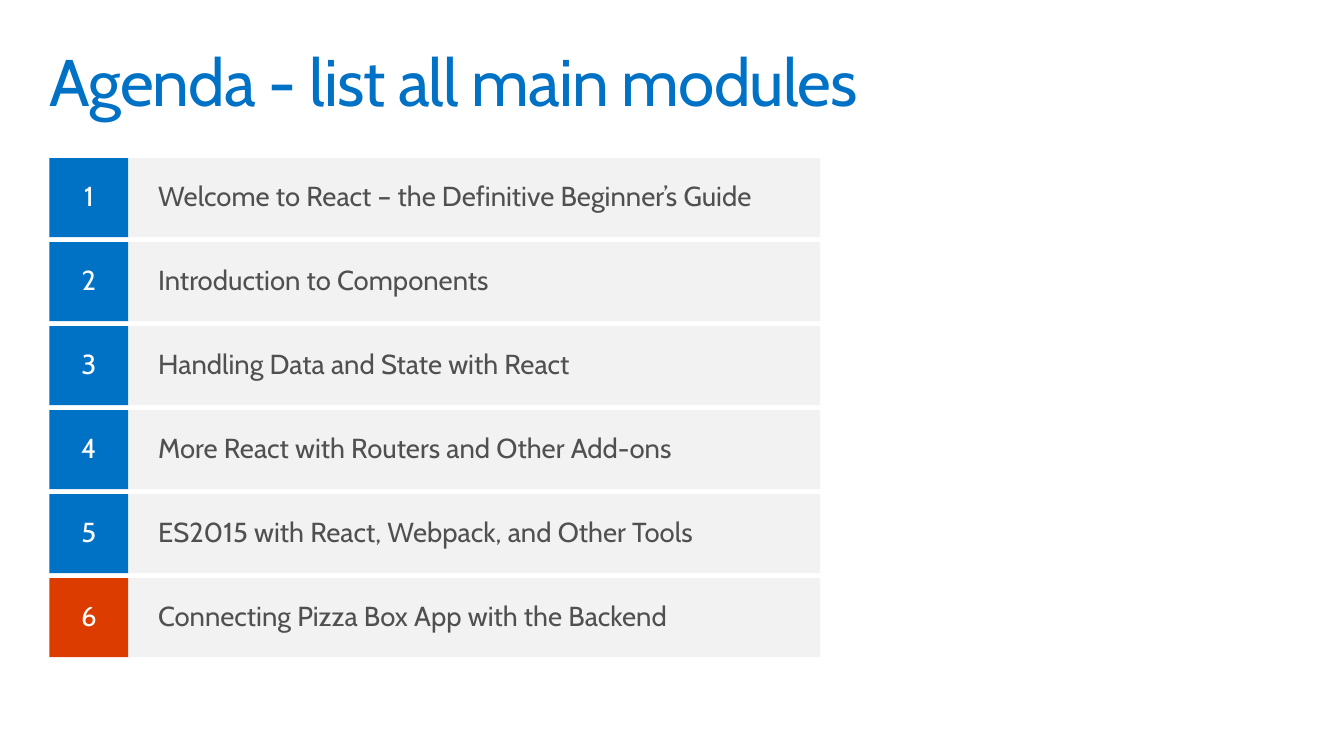
import dataclasses

import pptx
import pptx.dml.color
import pptx.enum.shapes
import pptx.enum.text
import pptx.util

EMU_PER_PX = 9144  # 100 px to the inch
ALIGN = pptx.enum.text.PP_ALIGN
ANCHOR = pptx.enum.text.MSO_ANCHOR

MODULES = [
    "Welcome to React – the Definitive Beginner’s Guide",
    "Introduction to Components",
    "Handling Data and State with React",
    "More React with Routers and Other Add-ons",
    "ES2015 with React, Webpack, and Other Tools",
    "Connecting Pizza Box App with the Backend",
]
CURRENT_MODULE = 6


@dataclasses.dataclass(frozen=True)
class Theme:
    font: str = "Cabin"
    blue: str = "0072C6"
    orange: str = "DC3C00"
    pale: str = "F2F2F2"
    grey: str = "505050"
    white: str = "FFFFFF"
    title_size: int = 48
    body_size: int = 20
    line_spacing: float = 0.9
    title_tracking: int = -70  # hundredths of a point


def px(length):
    return pptx.util.Emu(length * EMU_PER_PX)


def rgb(color):
    return pptx.dml.color.RGBColor.from_string(color)


class AgendaPage:
    def __init__(self, deck, theme):
        self.theme = theme
        self.page = deck.slides.add_slide(deck.slide_layouts[6])

    def set_text(self, shape, text, size, color, inset, align, anchor):
        """Fill a shape with one styled line; inset is (sides, top and bottom)."""
        frame = shape.text_frame
        frame.word_wrap = True
        frame.vertical_anchor = anchor
        frame.margin_left = frame.margin_right = px(inset[0])
        frame.margin_top = frame.margin_bottom = px(inset[1])
        frame.text = text
        para = frame.paragraphs[0]
        para.alignment = align
        para.line_spacing = self.theme.line_spacing
        span = para.runs[0]
        span.font.name = self.theme.font
        span.font.size = pptx.util.Pt(size)
        span.font.color.rgb = rgb(color)
        return span

    def title(self, text, left, top, width, height):
        box = self.page.shapes.add_textbox(px(left), px(top), px(width), px(height))
        span = self.set_text(box, text, self.theme.title_size, self.theme.blue,
                             (10, 10), ALIGN.LEFT, ANCHOR.TOP)
        span._r.get_or_add_rPr().set("spc", str(self.theme.title_tracking))

    def block(self, text, left, top, width, height, fill, color, inset, align):
        box = self.page.shapes.add_shape(
            pptx.enum.shapes.MSO_SHAPE.RECTANGLE,
            px(left), px(top), px(width), px(height))
        box.shadow.inherit = False
        box.fill.solid()
        box.fill.fore_color.rgb = rgb(fill)
        box.line.fill.background()
        self.set_text(box, text, self.theme.body_size, color, inset, align, ANCHOR.MIDDLE)

    def agenda_row(self, number, text, left, top, height, label_width):
        theme = self.theme
        fill = theme.orange if number == CURRENT_MODULE else theme.blue
        self.block(str(number), left, top, height, height,
                   fill, theme.white, (20, 16), ALIGN.CENTER)
        self.block(text, left + height, top, label_width, height,
                   theme.pale, theme.grey, (30, 10), ALIGN.LEFT)


def main():
    deck = pptx.Presentation()
    deck.slide_width, deck.slide_height = px(1360), px(765)
    agenda = AgendaPage(deck, Theme())
    agenda.title("Agenda - list all main modules", 40, 40, 1280, 100)
    row_height, gap = 80, 5
    for index, module in enumerate(MODULES):
        top = 160 + index * (row_height + gap)
        agenda.agenda_row(index + 1, module, 50, top, row_height, 700)
    deck.save("out.pptx")


if __name__ == "__main__":
    main()
